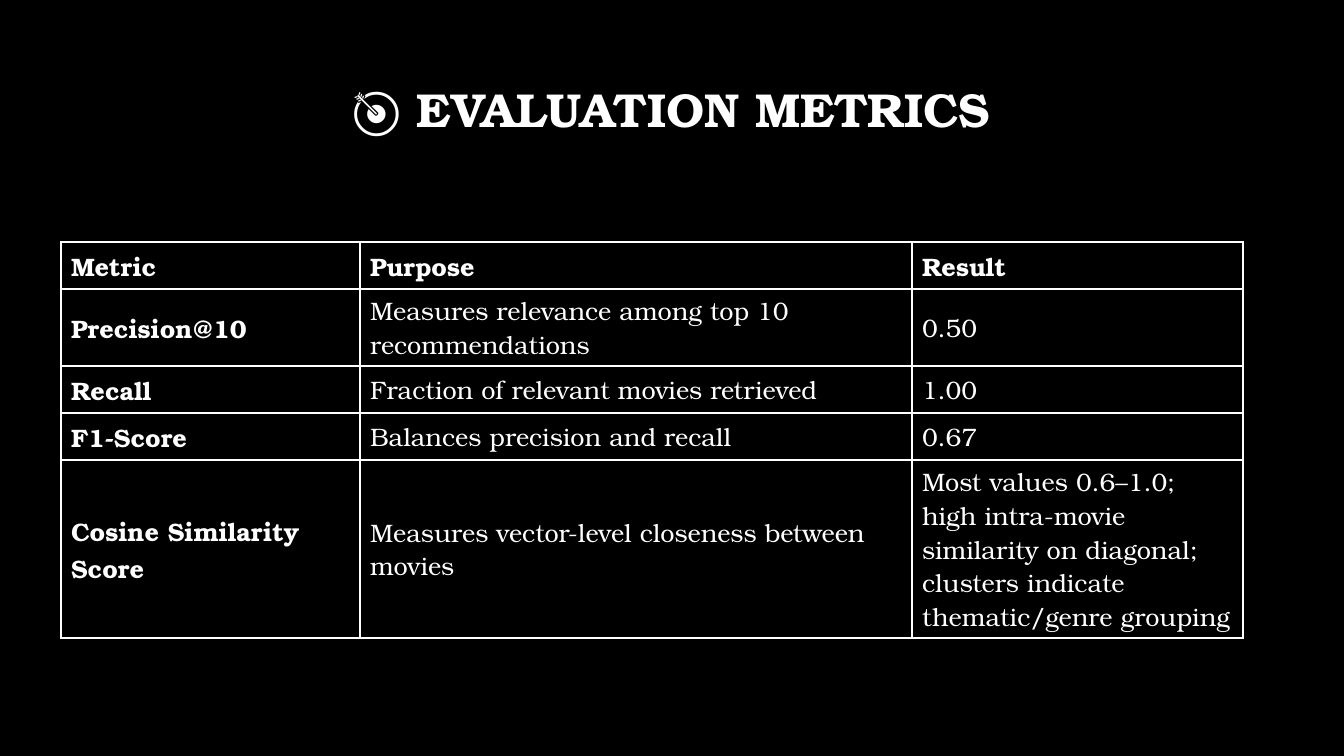
from lxml.etree import SubElement
from pptx import Presentation
from pptx.dml.color import RGBColor
from pptx.enum.text import MSO_ANCHOR as Anchor, PP_ALIGN as Align
from pptx.oxml.ns import qn
from pptx.util import Emu, Pt

PX = 914400 / 100.8
METRICS = [
    ("Metric", "Purpose", "Result"),
    ("Precision@10", "Measures relevance among top 10 recommendations", "0.50"),
    ("Recall", "Fraction of relevant movies retrieved", "1.00"),
    ("F1-Score", "Balances precision and recall", "0.67"),
    ("Cosine Similarity Score", "Measures vector-level closeness between movies",
     "Most values 0.6–1.0; high intra-movie similarity on diagonal; "
     "clusters indicate thematic/genre grouping"),
]


def px(length):
    return Emu(round(length * PX))


def color(value):
    return RGBColor.from_string(value)


def write(frame, text, size=18, bold=False, ink="FFFFFF", font="TeX Gyre Bonum",
          align=Align.LEFT, spacing=None):
    para = frame.paragraphs[0]
    para.alignment = align
    para.line_spacing = spacing
    span = para.add_run()
    span.text = text
    span.font.name = font
    span.font.size = Pt(size)
    span.font.bold = bold
    span.font.color.rgb = color(ink)


class MetricsPage:
    """Holds the style and the current slide."""

    def __init__(self, deck, ground="000000", line="FFFFFF"):
        self.line = line
        self.page = deck.slides.add_slide(deck.slide_layouts[6])
        fill = self.page.background.fill
        fill.solid()
        fill.fore_color.rgb = color(ground)

    def title(self, text, left, top, width, height, lift):
        box = self.page.shapes.add_textbox(px(left), px(top), px(width), px(height))
        frame = box.text_frame
        frame.word_wrap = True
        frame.vertical_anchor = Anchor.MIDDLE
        frame.margin_bottom = px(lift)
        write(frame, text, size=34, bold=True, align=Align.CENTER, spacing=0.9)

    def border(self, cell, width=1):
        props = cell._tc.get_or_add_tcPr()
        for side in ("lnL", "lnR", "lnT", "lnB"):
            edge = SubElement(props, qn(f"a:{side}"), w=str(Pt(width)))
            fill = SubElement(edge, qn("a:solidFill"))
            SubElement(fill, qn("a:srgbClr"), val=self.line)

    def table(self, rows, left, top, widths, heights):
        frame = self.page.shapes.add_table(
            len(rows), len(widths), px(left), px(top), px(sum(widths)), px(sum(heights)))
        grid = frame.table
        grid.first_row = grid.horz_banding = False
        for column, width in zip(grid.columns, widths):
            column.width = px(width)
        for row, height in zip(grid.rows, heights):
            row.height = px(height)
        for r, texts in enumerate(rows):
            for c, text in enumerate(texts):
                cell = grid.cell(r, c)
                cell.vertical_anchor = Anchor.MIDDLE
                self.border(cell)
                cell.fill.background()
                write(cell.text_frame, text, bold=r == 0 or c == 0)


def main():
    deck = Presentation()
    deck.slide_width, deck.slide_height = px(1344), px(756)
    page = MetricsPage(deck)
    page.title("🎯 EVALUATION METRICS", 101, 68, 1141, 146, lift=62)
    page.table(METRICS, 61, 242, (299, 552, 331), (47, 77, 47, 47, 178))
    deck.save("out.pptx")


if __name__ == "__main__":
    main()
